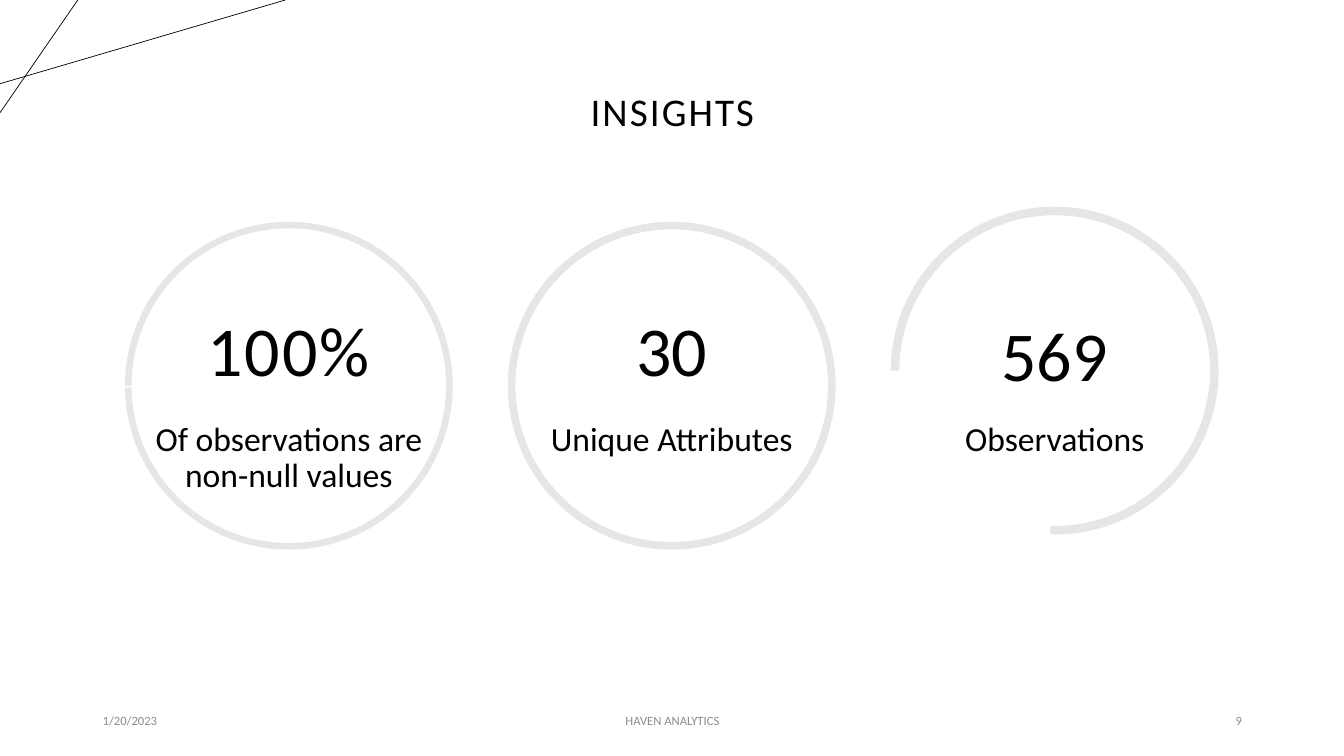
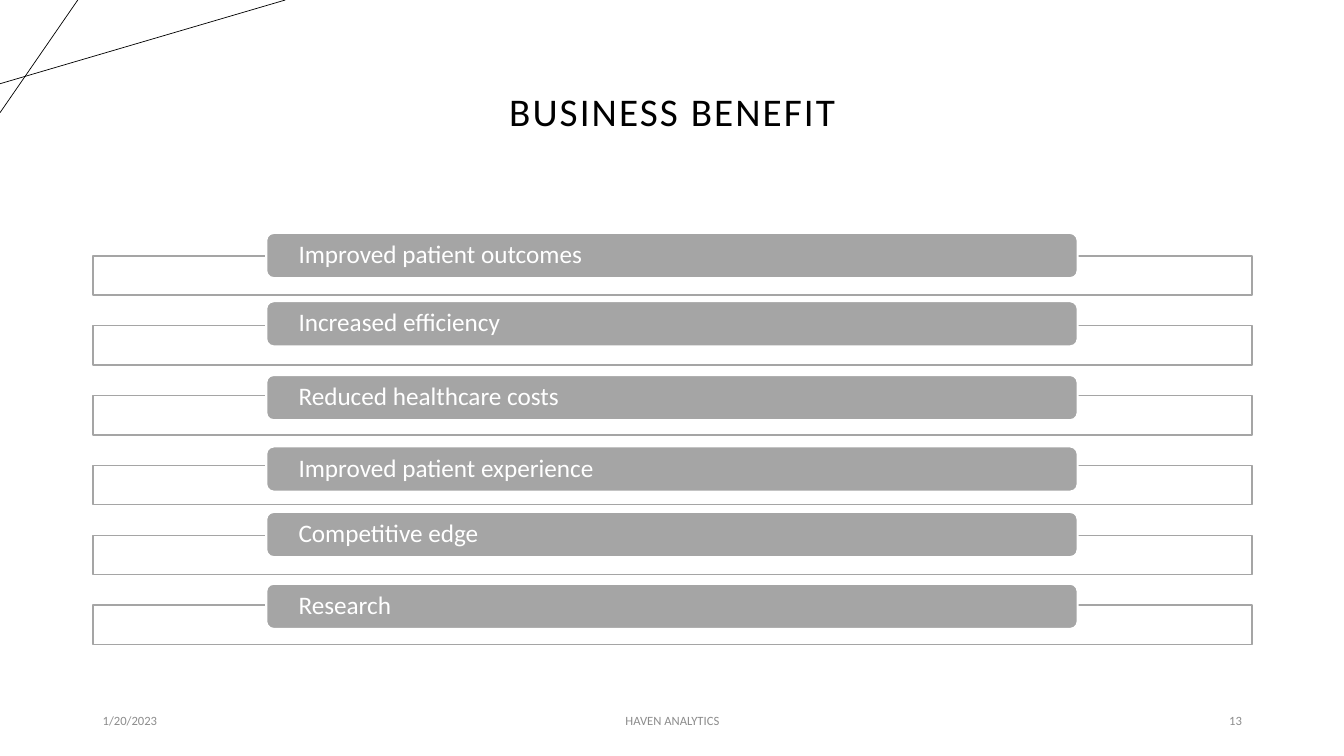
from lxml import etree
from pptx import Presentation
from pptx.dml.color import RGBColor
from pptx.enum import shapes, text
from pptx.oxml import ns
from pptx.util import Cm, Pt

# Content
DATE, TEAM = "1/20/2023", "HAVEN ANALYTICS"
INSIGHTS = {
    "title": "INSIGHTS",
    "page": "9",
    # figure, caption, letter spacing, ring top, figure top, arc start and end in degrees
    "rings": [
        ("100%", "Of observations are non-null values", 1.5, 5.59, 7.21, 180, 179.35),
        ("30", "Unique Attributes", 0, 5.59, 7.21, 311.15, 310.86),
        ("569", "Observations", 0, 5.21, 7.32, 180, 91.55),
    ],
}
BENEFITS = {
    "title": "BUSINESS BENEFIT",
    "page": "13",
    # label, bar top
    "bars": [
        ("Improved patient outcomes", 5.87),
        ("Increased efficiency", 7.59),
        ("Reduced healthcare costs", 9.45),
        ("Improved patient experience", 11.25),
        ("Competitive edge", 12.9),
        ("Research", 14.71),
    ],
}

# Shared style
FONT = "Calibri"
COLORS = {"ink": "000000", "paper": "FFFFFF", "footer": "8C8C8C",
          "ring": "E7E6E6", "bar": "A5A5A5"}
LEFT, WIDTH = 2.34, 29.21
CORNER_LINES = [(0, 2.11, 7.19, 0), (1.96, 0, 0, 2.84)]
ALIGN, ANCHOR = text.PP_ALIGN, text.MSO_ANCHOR
SHAPE = shapes.MSO_SHAPE


def color(name):
    return RGBColor.from_string(COLORS[name])


def write(sp, words, size=18, ink="ink", align=ALIGN.LEFT, anchor=ANCHOR.MIDDLE,
          inset=(0.25, 0.13), leading=0.9, spacing=0):
    tf = sp.text_frame
    tf.word_wrap = True
    tf.auto_size = text.MSO_AUTO_SIZE.NONE
    tf.vertical_anchor = anchor
    tf.margin_left = tf.margin_right = Cm(inset[0])
    tf.margin_top = tf.margin_bottom = Cm(inset[1])
    p = tf.paragraphs[0]
    p.alignment, p.line_spacing = align, leading
    r = p.add_run()
    r.text = words
    r.font.name, r.font.size = FONT, Pt(size)
    r.font.color.rgb = color(ink)
    if spacing:
        r.font._element.set("spc", str(int(spacing * 100)))


def add_text(s, box, words, **style):
    write(s.shapes.add_textbox(*map(Cm, box)), words, **style)


def add_shape(s, kind, box, fill, line=None, line_width=1):
    sp = s.shapes.add_shape(kind, *map(Cm, box))
    sp.shadow.inherit = False
    sp.fill.solid()
    sp.fill.fore_color.rgb = color(fill)
    if line:
        sp.line.color.rgb = color(line)
        sp.line.width = Pt(line_width)
    else:
        sp.line.fill.background()
    return sp


def add_slide(prs, title, page):
    s = prs.slides.add_slide(prs.slide_layouts[5])
    # Corner lines
    for ends in CORNER_LINES:
        line = s.shapes.add_connector(shapes.MSO_CONNECTOR.STRAIGHT, *map(Cm, ends))
        line.line.color.rgb = color("ink")
        line.line.width = Pt(0.5)
        etree.SubElement(line._element.spPr, ns.qn("a:effectLst"))
    # Title
    sp = s.shapes.title
    sp.left, sp.top, sp.width, sp.height = map(Cm, (LEFT, 1.02, WIDTH, 3.68))
    write(sp, title, size=28, align=ALIGN.CENTER, spacing=1.5)
    # Footer
    for words, left, width, align in [(DATE, LEFT, 7.62, ALIGN.LEFT),
                                      (TEAM, 11.23, 11.43, ALIGN.CENTER),
                                      (page, 23.93, 7.62, ALIGN.RIGHT)]:
        add_text(s, (left, 17.65, width, 1.02), words, size=9, ink="footer",
                 align=align, leading=1)
    return s


def build_insights(prs):
    s = add_slide(prs, INSIGHTS["title"], INSIGHTS["page"])
    size, step, text_width = 8.26, 9.65, 7.47
    style = dict(align=ALIGN.CENTER, inset=(0.33, 0.33))
    for i, (figure, caption, spacing, top, figure_top, start, end) in enumerate(INSIGHTS["rings"]):
        left = 3.15 + i * step
        ring = add_shape(s, SHAPE.BLOCK_ARC, (left, top, size, size), "ring")
        # Angles are stored in 60000ths of a degree, scaled by 100000
        ring.adjustments[0] = start * 0.6
        ring.adjustments[1] = end * 0.6
        ring.adjustments[2] = 0.02 + i * 0.003
        text_left = left + (size - text_width) / 2
        add_text(s, (text_left, figure_top, text_width, 3), figure, size=50,
                 anchor=ANCHOR.BOTTOM, spacing=spacing, **style)
        add_text(s, (text_left, 10.31, text_width, 3), caption, size=24,
                 anchor=ANCHOR.TOP, **style)


def build_benefits(prs):
    s = add_slide(prs, BENEFITS["title"], BENEFITS["page"])
    first_top, step = 6.45, 1.76
    for i, (label, bar_top) in enumerate(BENEFITS["bars"]):
        frame = add_shape(s, SHAPE.RECTANGLE, (LEFT, first_top + i * step, WIDTH, 0.99),
                          "paper", line="bar")
        fill = frame._element.spPr.find(".//" + ns.qn("a:srgbClr"))
        etree.SubElement(fill, ns.qn("a:alpha"), val="90000")
        bar = add_shape(s, SHAPE.ROUNDED_RECTANGLE, (6.71, bar_top, 20.45, 1.14),
                        "bar", line="paper", line_width=1.5)
        write(bar, label, ink="paper", inset=(0.76, 0))


def main():
    prs = Presentation()
    prs.slide_width, prs.slide_height = Cm(33.87), Cm(19.05)
    build_insights(prs)
    build_benefits(prs)
    prs.save("out.pptx")


if __name__ == "__main__":
    main()
